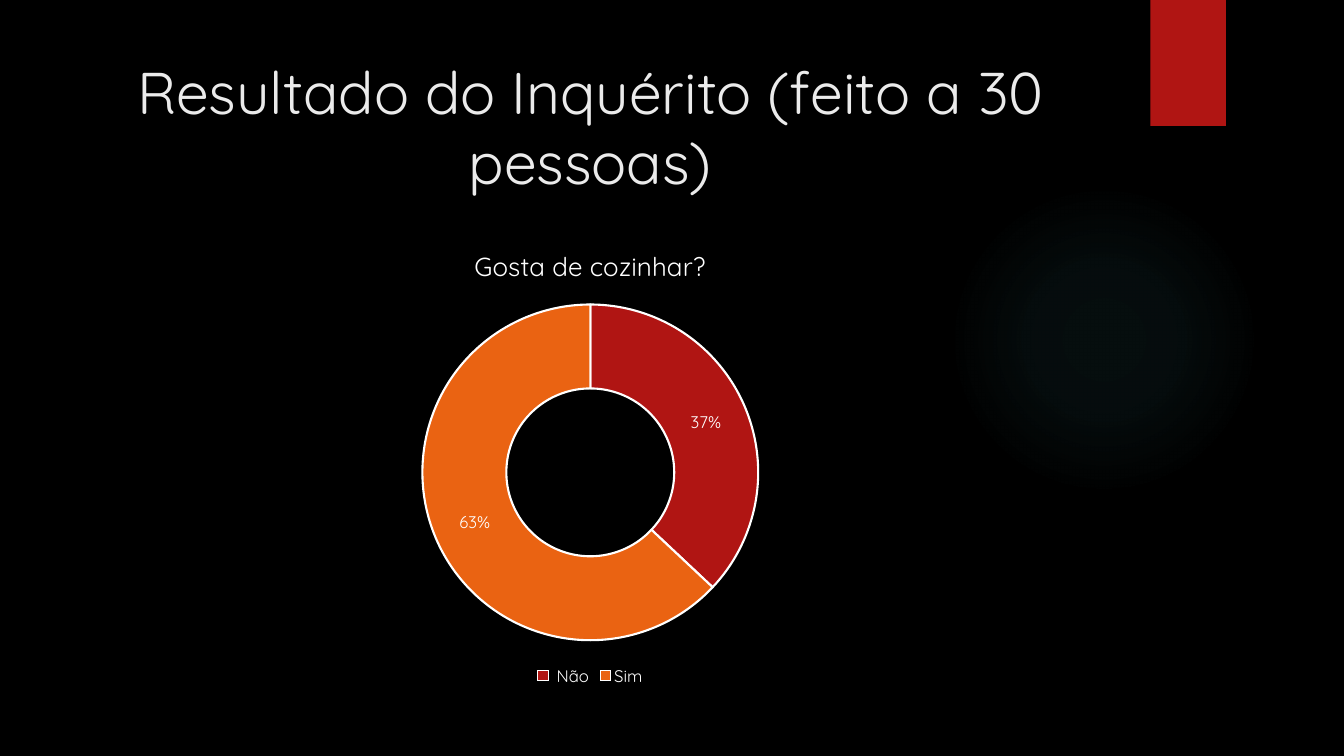
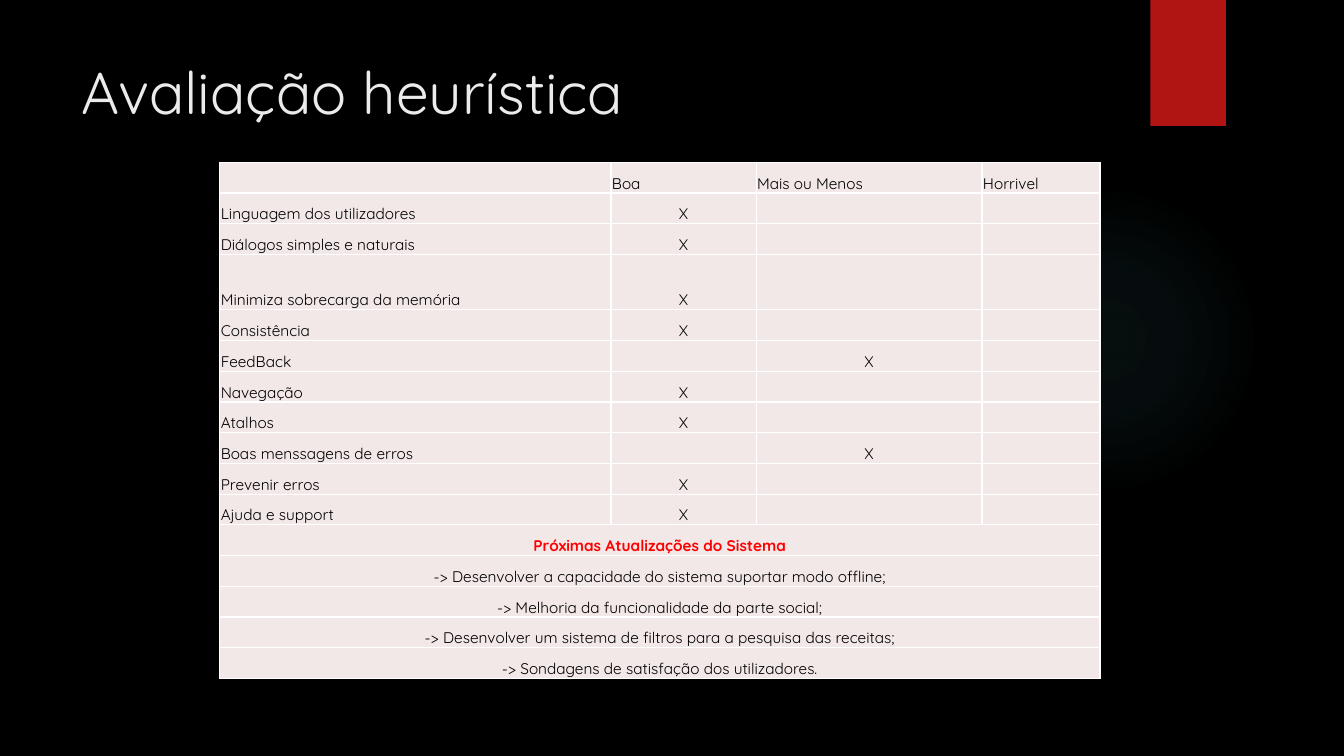
"""Build two slides: a survey doughnut and a heuristic evaluation table."""
from dataclasses import dataclass

from lxml import etree
from pptx import Presentation
from pptx import util as u
from pptx.chart import data as chart_data
from pptx.dml.color import RGBColor
from pptx.enum import chart as charts, shapes, text
from pptx.oxml import ns, parse_xml


@dataclass(frozen=True)
class Theme:
    font: str = "Quicksand"
    back: str = "000000"
    title: str = "EBEBEB"
    red: str = "B01513"
    orange: str = "EA6312"
    glow: str = "50B9C1"
    white: str = "FFFFFF"
    ink: str = "000000"
    alert: str = "FF0000"
    cell: str = "F2E8E7"
    title_size: float = 42
    chart_title_size: float = 18.6
    label_size: float = 12
    cell_size: float = 11


theme = Theme()
LEFT, CENTER = text.PP_ALIGN.LEFT, text.PP_ALIGN.CENTER


def style(font, size, color, bold=False):
    font.name, font.size, font.bold = theme.font, u.Pt(size), bold
    font.color.rgb = RGBColor.from_string(color)


def write(frame, content, size, color, align=LEFT, bold=False):
    paragraph = frame.paragraphs[0]
    paragraph.alignment = align
    if content:
        run = paragraph.add_run()
        run.text = content
        style(run.font, size, color, bold)
    else:
        etree.SubElement(paragraph._p, ns.qn("a:endParaRPr"), sz=str(size * 100))


deck = Presentation()
deck.slide_width, deck.slide_height = u.Inches(13.33), u.Inches(7.5)
backdrop = deck.slide_master.background.fill
backdrop.solid()
backdrop.fore_color.rgb = RGBColor.from_string(theme.back)

layout = deck.slide_layouts[5]
heading = layout.placeholders[0]
heading.left, heading.top = u.Inches(0.71), u.Inches(0.5)
heading.width, heading.height = u.Inches(10.29), u.Inches(1.53)

titles = [("Resultado do Inquérito (feito a 30 pessoas)", CENTER), ("Avaliação heurística", LEFT)]
for title, align in titles:
    frame = deck.slides.add_slide(layout).shapes.title.text_frame
    frame.vertical_anchor = text.MSO_ANCHOR.TOP
    frame.auto_size = text.MSO_AUTO_SIZE.NONE
    write(frame, title, theme.title_size, theme.title, align)
survey, evaluation = deck.slides

glow = survey.shapes.add_shape(
    shapes.MSO_SHAPE.OVAL, u.Inches(9.41), u.Inches(1.83), u.Inches(3.08), u.Inches(3.08))
band = survey.shapes.add_shape(
    shapes.MSO_SHAPE.RECTANGLE, u.Inches(11.41), 0, u.Inches(0.75), u.Inches(1.25))
band.fill.solid()
band.fill.fore_color.rgb = RGBColor.from_string(theme.red)
glow.fill.background()
stops = "".join(
    f'<a:gs pos="{place * 1000}"><a:srgbClr val="{theme.glow}">'
    f'<a:alpha val="{alpha * 1000}"/></a:srgbClr></a:gs>'
    for place, alpha in [(0, 7), (36, 6), (69, 0), (100, 0)])
gradient = parse_xml(
    f'<a:gradFill {ns.nsdecls("a")} rotWithShape="1"><a:gsLst>{stops}</a:gsLst>'
    '<a:path path="circle"><a:fillToRect l="50000" t="50000" r="50000" b="50000"/></a:path>'
    '</a:gradFill>')
glow_properties = glow.element.spPr
glow_properties.replace(glow_properties.find(ns.qn("a:noFill")), gradient)
for ornament in (glow, band):
    ornament.line.fill.background()
    ornament.shadow.inherit = False
    layout.shapes.element.append(ornament.element)

question = "Gosta de cozinhar?"
answers = chart_data.CategoryChartData()
answers.categories = [" Não", "Sim"]
answers.add_series(question, (37, 63))
doughnut = survey.shapes.add_chart(
    charts.XL_CHART_TYPE.DOUGHNUT, u.Inches(3.31), u.Inches(2.26),
    u.Inches(5.09), u.Inches(4.59), answers).chart
style(doughnut.font, 10, theme.white)
doughnut.has_title = True
write(doughnut.chart_title.text_frame, question, theme.chart_title_size, theme.white, CENTER)
doughnut.has_legend = True
doughnut.legend.position = charts.XL_LEGEND_POSITION.BOTTOM
doughnut.legend.include_in_layout = False
style(doughnut.legend.font, theme.label_size, theme.white)
ring = doughnut.plots[0]
ring.vary_by_categories = True
for hole in doughnut.element.iter(ns.qn("c:holeSize")):
    hole.set("val", "75")
for index, color in enumerate((theme.red, theme.orange)):
    slice_format = ring.series[0].points[index].format
    slice_format.fill.solid()
    slice_format.fill.fore_color.rgb = RGBColor.from_string(color)
    slice_format.line.color.rgb = RGBColor.from_string(theme.white)
    slice_format.line.width = u.Pt(1.5)
shares = ring.series[0].data_labels
shares.show_percentage, shares.show_value = True, False
shares.number_format, shares.number_format_is_linked = "0%", False
style(shares.font, theme.label_size, theme.white)

ratings = ["Boa", "Mais ou Menos", "Horrivel"]
criteria = [
    ("Linguagem dos utilizadores", "Boa"),
    ("Diálogos simples e naturais", "Boa"),
    ("Minimiza sobrecarga da memória", "Boa"),
    ("Consistência", "Boa"),
    ("FeedBack", "Mais ou Menos"),
    ("Navegação", "Boa"),
    ("Atalhos", "Boa"),
    ("Boas menssagens de erros", "Mais ou Menos"),
    ("Prevenir erros", "Boa"),
    ("Ajuda e support", "Boa"),
]
updates_heading = "Próximas Atualizações do Sistema"
updates = [
    updates_heading,
    "-> Desenvolver a capacidade do sistema suportar modo offline;",
    "-> Melhoria da funcionalidade da parte social;",
    "-> Desenvolver um sistema de filtros para a pesquisa das receitas;",
    "-> Sondagens de satisfação dos utilizadores.",
]
rows = [["", *ratings]]
rows += [[name, *("X" if rating == verdict else "" for rating in ratings)]
         for name, verdict in criteria]
rows += [[update, "", "", ""] for update in updates]

grid = evaluation.shapes.add_table(
    len(rows), 4, u.Inches(2.18), u.Inches(1.61), u.Inches(8.73), u.Inches(5.15)).table
grid.first_row = grid.horz_banding = False
for column, width in zip(grid.columns, (3.88, 1.44, 2.24, 1.17)):
    column.width = u.Inches(width)
for r, row in enumerate(rows):
    tall = row[0] == "Minimiza sobrecarga da memória"
    grid.rows[r].height = u.Inches(0.55 if tall else 0.305)
    is_update = row[0] in updates
    if is_update:
        grid.cell(r, 0).merge(grid.cell(r, 3))
    for c, content in enumerate(row):
        cell = grid.cell(r, c)
        cell.margin_left = cell.margin_top = cell.margin_right = u.Inches(0.01)
        cell.margin_bottom = 0
        cell.vertical_anchor = text.MSO_ANCHOR.BOTTOM
        for side in "LRTB":
            cell._tc.get_or_add_tcPr().append(parse_xml(
                f'<a:ln{side} {ns.nsdecls("a")} w="12700"><a:solidFill>'
                f'<a:srgbClr val="{theme.white}"/></a:solidFill></a:ln{side}>'))
        cell.fill.solid()
        cell.fill.fore_color.rgb = RGBColor.from_string(theme.cell)
        stressed = content == updates_heading
        write(cell.text_frame, content, theme.cell_size,
              theme.alert if stressed else theme.ink,
              CENTER if is_update or content == "X" else LEFT, stressed)

deck.save("out.pptx")
